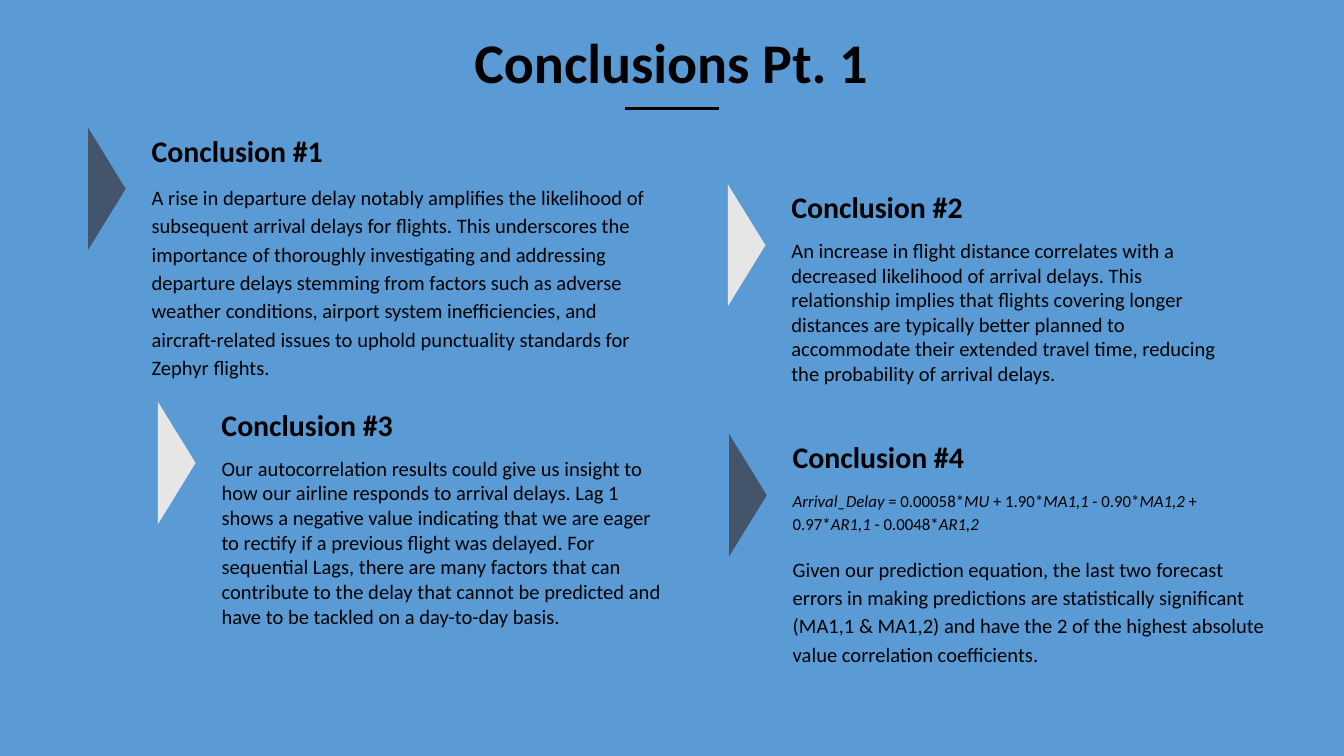
from pptx import Presentation
from pptx.dml.color import RGBColor
from pptx.enum.shapes import MSO_CONNECTOR as Connector, MSO_SHAPE as Shape
from pptx.enum.text import MSO_ANCHOR as Anchor, MSO_AUTO_SIZE as AutoSize, PP_ALIGN as Align
from pptx.oxml.ns import qn
from pptx.util import Inches, Pt
from lxml.etree import SubElement

SKY, INK, SLATE, PALE = "5B9BD5", "000000", "44546A", "E7E6E6"

EQUATION = [
    ("Arrival_Delay", True), (" = 0.00058*", False), ("MU", True),
    (" + 1.90*", False), ("MA1,1", True), (" - 0.90*", False),
    ("MA1,2", True), (" + 0.97*", False), ("AR1,1", True),
    (" - 0.0048*", False), ("AR1,2", True),
]

CONCLUSIONS = [
    (10.3, 9.5, 40, 6.4, SLATE, 1.15, [(11, [(
        "A rise in departure delay notably amplifies the likelihood of subsequent "
        "arrival delays for flights. This underscores the importance of thoroughly "
        "investigating and addressing departure delays stemming from factors such as "
        "adverse weather conditions, airport system inefficiencies, and "
        "aircraft-related issues to uphold punctuality standards for Zephyr flights.",
        False)])]),
    (57.9, 13.7, 35.7, 6.4, PALE, 1.0, [(11, [(
        "An increase in flight distance correlates with a decreased likelihood of "
        "arrival delays. This relationship implies that flights covering longer "
        "distances are typically better planned to accommodate their extended travel "
        "time, reducing the probability of arrival delays.", False)])]),
    (15.5, 29.9, 34.8, 15.5, PALE, 1.0, [(11, [(
        "Our autocorrelation results could give us insight to how our airline responds "
        "to arrival delays. Lag 1 shows a negative value indicating that we are eager "
        "to rectify if a previous flight was delayed. For sequential Lags, there are "
        "many factors that can contribute to the delay that cannot be predicted and "
        "have to be tackled on a day-to-day basis.", False)])]),
    (58, 32.3, 38, 17.2, SLATE, 1.15, [(9, EQUATION), (11, [(
        "Given our prediction equation, the last two forecast errors in making "
        "predictions are statistically significant (MA1,1 & MA1,2) and have the 2 of "
        "the highest absolute value correlation coefficients.", False)])]),
]


def color(value):
    """Turn a hex string into a colour."""
    return RGBColor.from_string(value)


def cells(*counts):
    """Turn grid columns or rows, ten to the inch, into lengths."""
    return [Inches(count / 10) for count in counts]


class SlideBuilder:
    """Hold the style and the current slide, and draw its elements."""

    font = "Calibri"

    def __init__(self, deck):
        """Add a title-only slide with a plain background."""
        self.slide = deck.slides.add_slide(deck.slide_layouts[5])
        fill = self.slide.background.fill
        fill.solid()
        fill.fore_color.rgb = color(SKY)

    def fill_text(self, box, paragraphs, spacing, anchor=Anchor.TOP, align=Align.LEFT, bold=False):
        """Write sized paragraphs of (text, italic) runs into a box."""
        frame = box.text_frame
        frame.word_wrap = True
        frame.auto_size = AutoSize.NONE
        frame.vertical_anchor = anchor
        frame.margin_left = frame.margin_right = Inches(0.1)
        frame.margin_top = frame.margin_bottom = Inches(0.1)
        for index, (size, runs) in enumerate(paragraphs):
            para = frame.add_paragraph() if index else frame.paragraphs[0]
            para.alignment = align
            para.line_spacing = spacing
            para.space_before = para.space_after = Pt(10 if index else 0)
            for text, italic in runs:
                span = para.add_run()
                span.text = text
                span.font.name, span.font.size = self.font, Pt(size)
                span.font.bold, span.font.italic = bold, italic
                span.font.color.rgb = color(INK)

    def title(self, text, left, top, width, height):
        """Place and format the slide title."""
        box = self.slide.shapes.title
        box.left, box.top, box.width, box.height = cells(left, top, width, height)
        self.fill_text(box, [(30, [(text, False)])], 0.9, align=Align.CENTER, bold=True)

    def text(self, area, paragraphs, spacing, **style):
        """Add a text box."""
        box = self.slide.shapes.add_textbox(*cells(*area))
        self.fill_text(box, paragraphs, spacing, **style)

    def pointer(self, left, top, fill):
        """Add a triangle that points right."""
        shape = self.slide.shapes.add_shape(Shape.ISOSCELES_TRIANGLE, *cells(left, top, 9.1, 2.8))
        shape.rotation = 90
        shape.shadow.inherit = False
        shape.fill.solid()
        shape.fill.fore_color.rgb = color(fill)
        shape.line.fill.background()

    def rule(self, left, right, top):
        """Add a thin horizontal line."""
        line = self.slide.shapes.add_connector(Connector.STRAIGHT, *cells(left, top, right, top))
        line.line.color.rgb = color(INK)
        line.line.width = Pt(1.5)
        SubElement(line._element.spPr, qn("a:effectLst"))

    def conclusion(self, number, left, top, width, height, fill, spacing, paragraphs):
        """Add a pointer, a numbered heading and its text."""
        heading = [(16, [(f"Conclusion #{number}", False)])]
        self.text((left, top, 22, 3.7), heading, 0.9, anchor=Anchor.MIDDLE, bold=True)
        self.text((left, top + 3, width, height), paragraphs, spacing)
        self.pointer(left - 6.9, top + 3.15, fill)


def main():
    """Build the deck and save it."""
    deck = Presentation()
    deck.slide_width = Inches(10)
    deck.slide_height = deck.slide_width * 9 // 16
    page = SlideBuilder(deck)
    page.title("Conclusions Pt. 1", 7.8, 1.6, 84.3, 5.8)
    page.rule(46.5, 53.5, 8.1)
    for number, block in enumerate(CONCLUSIONS, 1):
        page.conclusion(number, *block)
    deck.save("out.pptx")


if __name__ == "__main__":
    main()
